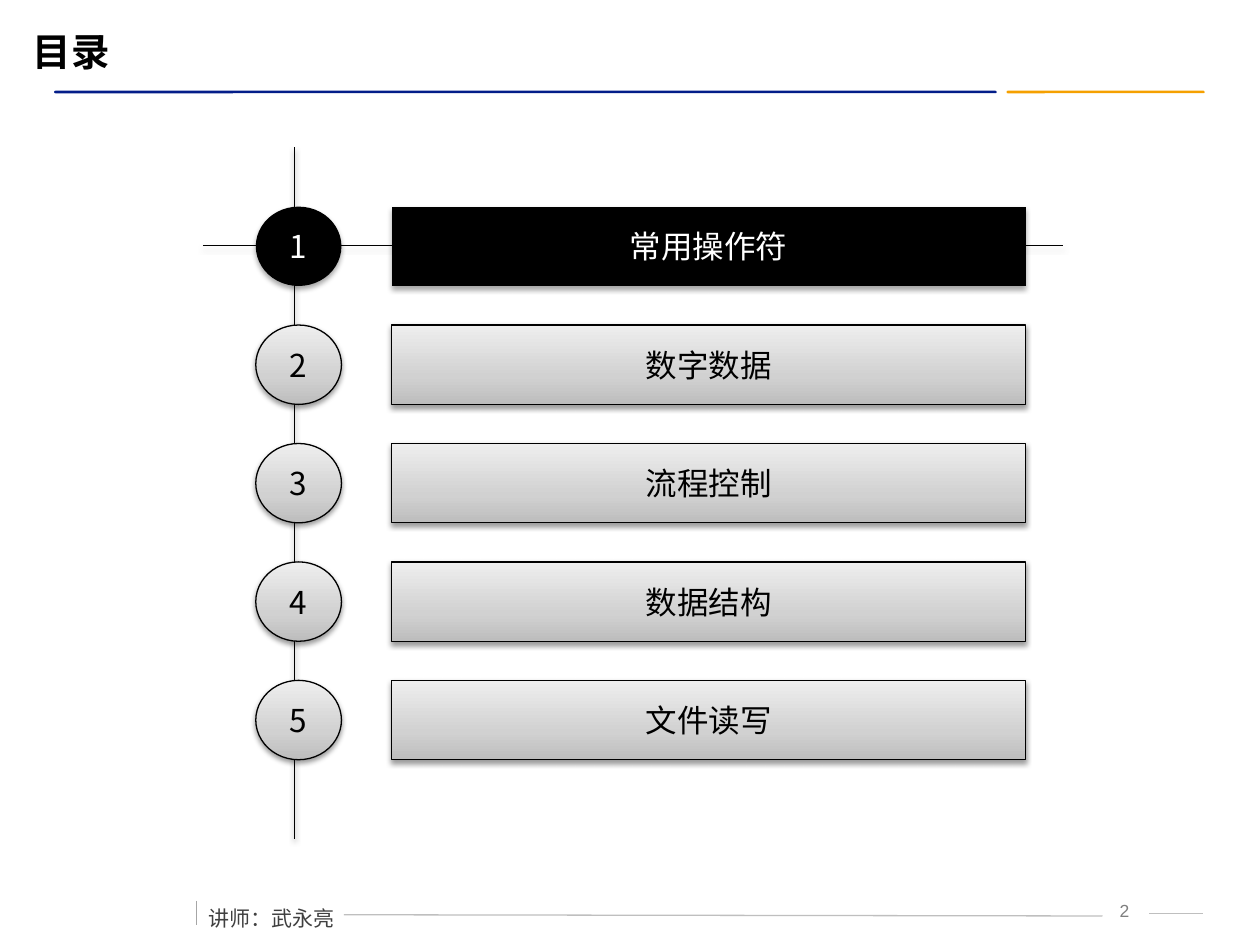
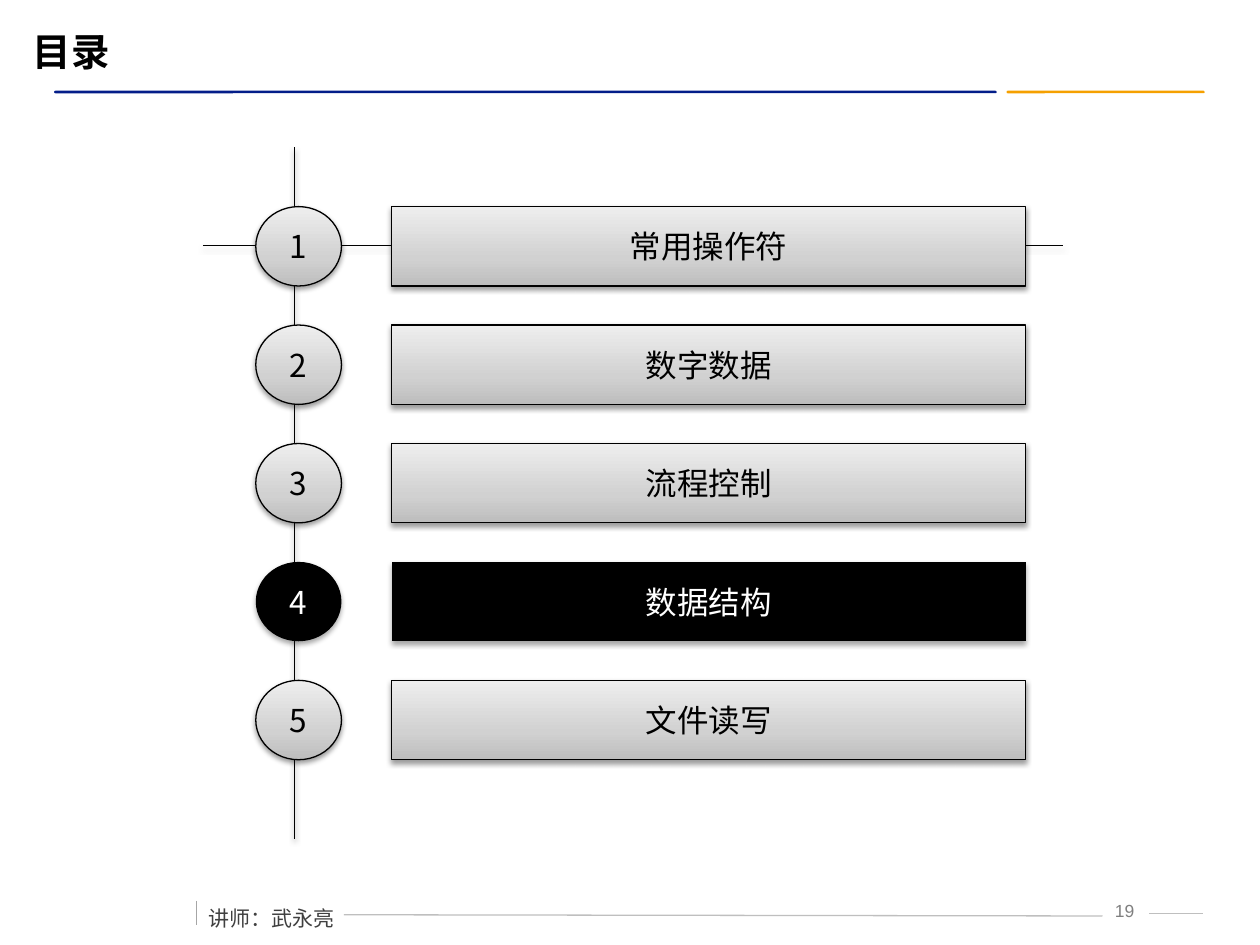
from lxml import etree
from pptx import Presentation
from pptx.dml.color import RGBColor
from pptx.enum.shapes import MSO_CONNECTOR, MSO_SHAPE
from pptx.enum.text import MSO_ANCHOR, MSO_AUTO_SIZE, PP_ALIGN
from pptx.oxml import parse_xml
from pptx.oxml.ns import nsdecls, qn
from pptx.util import Inches, Pt

# Enum members
STRAIGHT = MSO_CONNECTOR.STRAIGHT
ROUNDED, OVAL, BUTTON = (MSO_SHAPE.ROUNDED_RECTANGLE, MSO_SHAPE.OVAL,
                         MSO_SHAPE.ACTION_BUTTON_CUSTOM)
LEFT, CENTER = PP_ALIGN.LEFT, PP_ALIGN.CENTER
TOP, MIDDLE = MSO_ANCHOR.TOP, MSO_ANCHOR.MIDDLE
FIT_SHAPE = MSO_AUTO_SIZE.SHAPE_TO_FIT_TEXT

# Colours and fonts
BLACK = RGBColor(0x00, 0x00, 0x00)
WHITE = RGBColor(0xFF, 0xFF, 0xFF)
BLUE = RGBColor(0x03, 0x1D, 0x89)
ORANGE = RGBColor(0xF5, 0xA0, 0x00)
RULE_GREY = RGBColor(0xBF, 0xBF, 0xBF)
TICK_GREY = RGBColor(0xA6, 0xA6, 0xA6)
PAGE_GREY = RGBColor(0x7F, 0x7F, 0x7F)
LECTURER_GREY = RGBColor(0x40, 0x40, 0x40)
GRADIENT = [(0, RGBColor(0xBD, 0xBD, 0xBD)), (35, RGBColor(0xD1, 0xD1, 0xD1)),
            (100, RGBColor(0xEE, 0xEE, 0xEE))]
HAN, ARIAL, CALIBRI = "Noto Sans CJK SC", "Arial", "Calibri"

# Content: chapter name and its font
CHAPTERS = [("常用操作符", HAN), ("数字数据", HAN), ("流程控制", HAN),
            ("数据结构", HAN), ("文件读写", CALIBRI)]
PAGES = [(2, 1), (19, 4)]  # page number, current chapter

# Chapter grid, in inches
FIRST_TOP, ROW_PITCH, ROW_HEIGHT = 1.64, 0.94, 0.63


def write(frame, text, size=18, font=HAN, color=BLACK, bold=False,
          align=LEFT, anchor=TOP, wrap=True, line_spacing=None, before=None):
    """Put one formatted paragraph into a text frame."""
    frame.word_wrap = wrap
    frame.vertical_anchor = anchor
    paragraph = frame.paragraphs[0]
    paragraph.alignment = align
    paragraph.line_spacing = line_spacing
    paragraph.space_before = before
    run = paragraph.add_run()
    run.text = text
    run.font.size, run.font.name, run.font.bold = Pt(size), font, bold
    run.font.color.rgb = color
    east_asian = etree.SubElement(run.font._element, qn("a:ea"))
    east_asian.set("typeface", HAN)


def add_effects(shape, alpha=None, distance=1.6):
    """Give a soft shadow below, or no shadow when alpha is None."""
    shadow = "" if alpha is None else (
        f'<a:outerShdw blurRad="{Pt(3.1)}" dist="{Pt(distance)}" '
        f'dir="5400000" rotWithShape="0"><a:srgbClr val="{BLACK}">'
        f'<a:alpha val="{alpha * 1000}"/></a:srgbClr></a:outerShdw>')
    shape._element.spPr.append(
        parse_xml(f'<a:effectLst {nsdecls("a")}>{shadow}</a:effectLst>'))


def fill_gradient(shape):
    stops = "".join(f'<a:gs pos="{position * 1000}"><a:srgbClr val="{color}"/></a:gs>'
                    for position, color in GRADIENT)
    gradient = parse_xml(f'<a:gradFill {nsdecls("a")} rotWithShape="1"><a:gsLst>{stops}'
                         '</a:gsLst><a:lin ang="16200000" scaled="0"/></a:gradFill>')
    shape._element.spPr.find(qn("a:prstGeom")).addnext(gradient)


class Deck:
    """Holds the shared style and the current slide."""

    def __init__(self):
        self.presentation = Presentation()
        self.presentation.slide_width = Inches(10)
        self.presentation.slide_height = Inches(7.5)
        self.slide = None

    def new_slide(self, title, page):
        layout = self.presentation.slide_layouts[5]
        self.slide = self.presentation.slides.add_slide(layout)
        self.title(title)
        self.band(7.99, 1.57, ORANGE, 0.36)
        self.band(0.43, 7.48, BLUE, 0.5)
        self.footer(page)

    def title(self, text):
        heading = self.slide.shapes.title
        heading.left, heading.top = Inches(0.16), Inches(0.17)
        heading.width, heading.height = Inches(9.41), Inches(0.47)
        write(heading.text_frame, text, size=22, font=ARIAL, bold=True, anchor=MIDDLE)

    def band(self, left, width, color, roundness):
        band = self.slide.shapes.add_shape(
            ROUNDED, Inches(left), Inches(0.72), Inches(width), Inches(0.02))
        band.adjustments[0] = roundness
        band.fill.solid()
        band.fill.fore_color.rgb = color
        band.line.fill.background()
        band.shadow.inherit = False

    def line(self, x1, y1, x2, y2, color, shadow=None):
        line = self.slide.shapes.add_connector(
            STRAIGHT, Inches(x1), Inches(y1), Inches(x2), Inches(y2))
        line.line.color.rgb = color
        line.line.width = Pt(0.75)
        add_effects(line, shadow)

    def text(self, left, top, width, height, text, **style):
        box = self.slide.shapes.add_textbox(
            Inches(left), Inches(top), Inches(width), Inches(height))
        write(box.text_frame, text, **style)
        return box

    def footer(self, page):
        self.text(8.69, 7.09, 0.47, 0.25, str(page), size=10, font=ARIAL,
                  color=PAGE_GREY, align=CENTER)
        self.line(2.73, 7.26, 8.75, 7.27, RULE_GREY)
        self.line(9.12, 7.25, 9.55, 7.25, RULE_GREY)
        self.line(1.56, 7.15, 1.56, 7.34, TICK_GREY)
        lecturer = self.text(1.56, 7.04, 1.21, 0.36, "讲师：武永亮", size=12,
                             color=LECTURER_GREY, wrap=False,
                             line_spacing=1.5, before=Pt(6))
        lecturer.text_frame.auto_size = FIT_SHAPE

    def plate(self, kind, left, top, width, text, font, current):
        plate = self.slide.shapes.add_shape(
            kind, Inches(left), Inches(top), Inches(width), Inches(ROW_HEIGHT))
        if current:
            plate.fill.solid()
            plate.fill.fore_color.rgb = BLACK
            plate.line.fill.background()
            add_effects(plate, 35, 1.8)
        else:
            fill_gradient(plate)
            plate.line.color.rgb = BLACK
            plate.line.width = Pt(0.75)
            add_effects(plate, 38)
        write(plate.text_frame, text, font=font, color=WHITE if current else BLACK,
              align=CENTER, anchor=MIDDLE, wrap=False)

    def contents(self, current_chapter):
        # Crossing guide lines
        self.line(2.34, 1.17, 2.34, 6.66, BLACK, shadow=38)
        self.line(1.61, 1.95, 8.44, 1.95, BLACK, shadow=38)
        # Numbered chapters
        for number, (chapter, font) in enumerate(CHAPTERS, start=1):
            top = FIRST_TOP + (number - 1) * ROW_PITCH
            current = number == current_chapter
            self.plate(OVAL, 2.03, top, 0.68, str(number), HAN, current)
            self.plate(BUTTON, 3.11, top, 5.03, chapter, font, current)


def main():
    deck = Deck()
    for page, current_chapter in PAGES:
        deck.new_slide("目录", page)
        deck.contents(current_chapter)
    deck.presentation.save("out.pptx")


if __name__ == "__main__":
    main()
